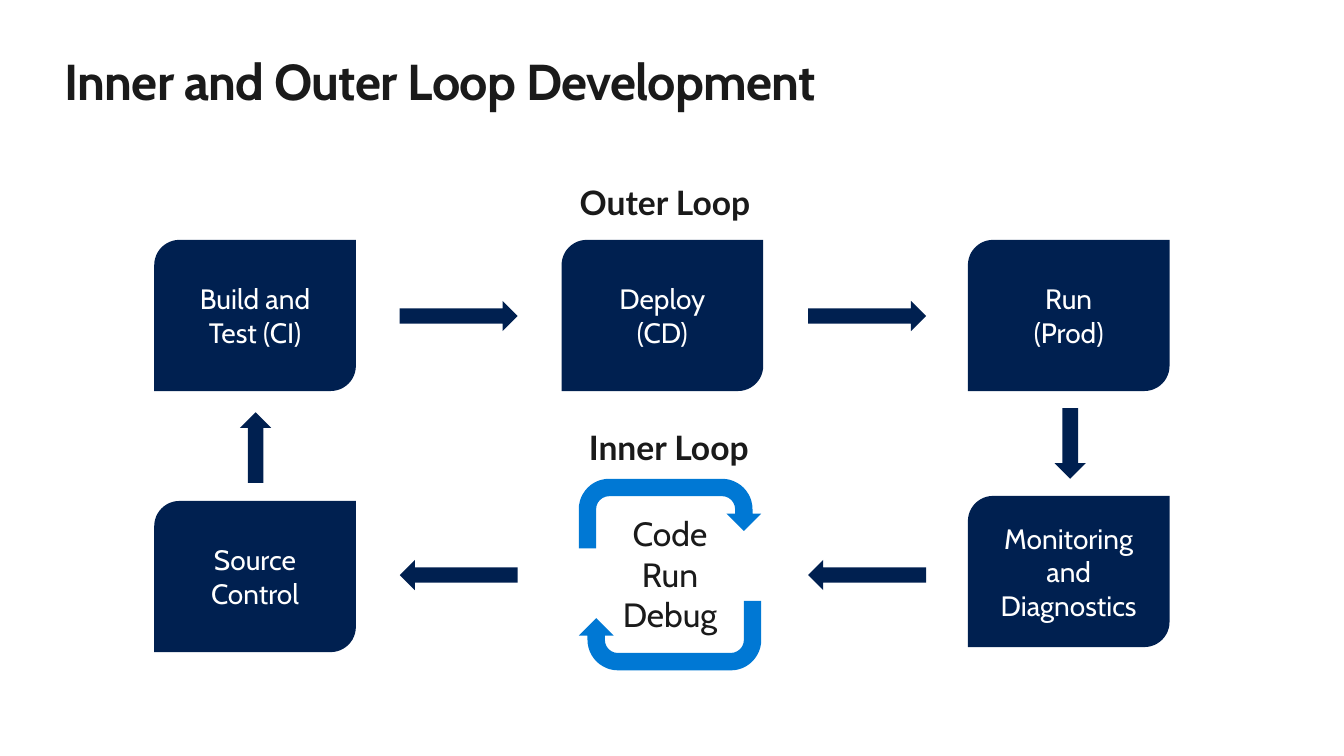
from dataclasses import dataclass
from typing import Any

from pptx import Presentation
from pptx import util as u
from pptx.dml.color import RGBColor
from pptx.enum import shapes, text

PX = 9144  # 100 px to the inch


@dataclass(frozen=True)
class Theme:
    ink: str = "1A1A1A"
    navy: str = "002050"
    blue: str = "0078D4"
    white: str = "FFFFFF"
    body: str = "Cabin"
    label: str = "Lato"
    title_pt: int = 36
    loop_pt: int = 24
    step_pt: int = 20


@dataclass(frozen=True)
class Box:
    x: int
    y: int
    w: int
    h: int

    def emu(self) -> list[u.Emu]:
        return [u.Emu(n * PX) for n in (self.x, self.y, self.w, self.h)]


@dataclass(frozen=True)
class Style:
    size: int
    color: str
    name: str = Theme.body
    bold: bool = False
    align: text.PP_ALIGN = text.PP_ALIGN.LEFT
    wrap: bool = True


@dataclass(frozen=True)
class Step:
    x: int
    y: int
    words: str


@dataclass(frozen=True)
class Arrow:
    """A down arrow, placed by its centre and then turned."""
    cx: int
    cy: int
    w: int
    h: int
    turn: int


THEME = Theme()
MID = text.PP_ALIGN.CENTER
TITLE = Style(THEME.title_pt, THEME.ink, bold=True)
LABEL = Style(THEME.loop_pt, THEME.ink, THEME.label, bold=True, wrap=False)
CODE = Style(THEME.loop_pt, THEME.ink, align=MID)
STEP = Style(THEME.step_pt, THEME.white, align=MID)

LEFT, CENTRE, RIGHT = 153, 557, 960
TOP = 238
STEPS = [
    Step(LEFT, 497, "Source Control"),
    Step(LEFT, TOP, "Build and Test (CI)"),
    Step(CENTRE, TOP, "Deploy\n(CD)"),
    Step(RIGHT, TOP, "Run\n(Prod)"),
    Step(RIGHT, 492, "Monitoring and Diagnostics"),
]
ARROWS = [Arrow(cx, cy, 30, 117, turn)
          for cy, turn in ((313, 270), (570, 90)) for cx in (455, 860)]
ARROWS += [Arrow(253, 444, 31, 70, 180), Arrow(1061, 440, 31, 70, 0)]


def write(shape: Any, words: str, style: Style, pad: tuple[int, int] = (0, 0),
          anchor: text.MSO_ANCHOR = text.MSO_ANCHOR.TOP) -> None:
    frame = shape.text_frame
    side, edge = (u.Emu(n * PX) for n in pad)
    form = {"margin_left": side, "margin_right": side, "margin_top": edge,
            "margin_bottom": edge, "word_wrap": style.wrap,
            "vertical_anchor": anchor, "text": words}
    for key, value in form.items():
        setattr(frame, key, value)
    look = {"name": style.name, "size": u.Pt(style.size), "bold": style.bold}
    for para in frame.paragraphs:
        para.alignment = style.align
        for run in para.runs:
            for key, value in look.items():
                setattr(run.font, key, value)
            run.font.color.rgb = RGBColor.from_string(style.color)


def label(tree: Any, box: Box, words: str, style: Style) -> Any:
    shape = tree.add_textbox(*box.emu())
    write(shape, words, style)
    return shape


def solid(tree: Any, kind: shapes.MSO_SHAPE, box: Box, fill: str,
          turn: int = 0) -> Any:
    shape = tree.add_shape(kind, *box.emu())
    shape.shadow.inherit = False
    shape.fill.solid()
    shape.fill.fore_color.rgb = RGBColor.from_string(fill)
    shape.line.fill.background()
    shape.rotation = turn
    return shape


def main() -> None:
    deck = Presentation()
    deck.slide_width, deck.slide_height = u.Emu(1333 * PX), u.Emu(750 * PX)
    tree = deck.slides.add_slide(deck.slide_layouts[6]).shapes

    title = label(tree, Box(64, 50, 1205, 61),
                  "Inner and Outer Loop Development", TITLE)
    run = title.text_frame.paragraphs[0].runs[0]
    run.font._element.set("spc", "-50")

    inner = tree.add_group_shape().shapes
    for y, turn in ((475, 0), (596, 180)):
        solid(inner, shapes.MSO_SHAPE.U_TURN_ARROW, Box(574, y, 181, 69),
              THEME.blue, turn)
    label(inner, Box(599, 509, 131, 121), "Code\nRun\nDebug", CODE)

    label(tree, Box(584, 424, 161, 40), "Inner Loop", LABEL)
    label(tree, Box(575, 180, 170, 40), "Outer Loop", LABEL)

    for step in STEPS:
        card = solid(tree, shapes.MSO_SHAPE.ROUND_2_DIAG_RECTANGLE,
                     Box(step.x, step.y, 200, 150), THEME.navy)
        write(card, step.words, STEP, (20, 16), text.MSO_ANCHOR.MIDDLE)

    for arrow in ARROWS:
        box = Box(arrow.cx - arrow.w // 2, arrow.cy - arrow.h // 2,
                  arrow.w, arrow.h)
        solid(tree, shapes.MSO_SHAPE.DOWN_ARROW, box, THEME.navy, arrow.turn)

    deck.save("out.pptx")


if __name__ == "__main__":
    main()
